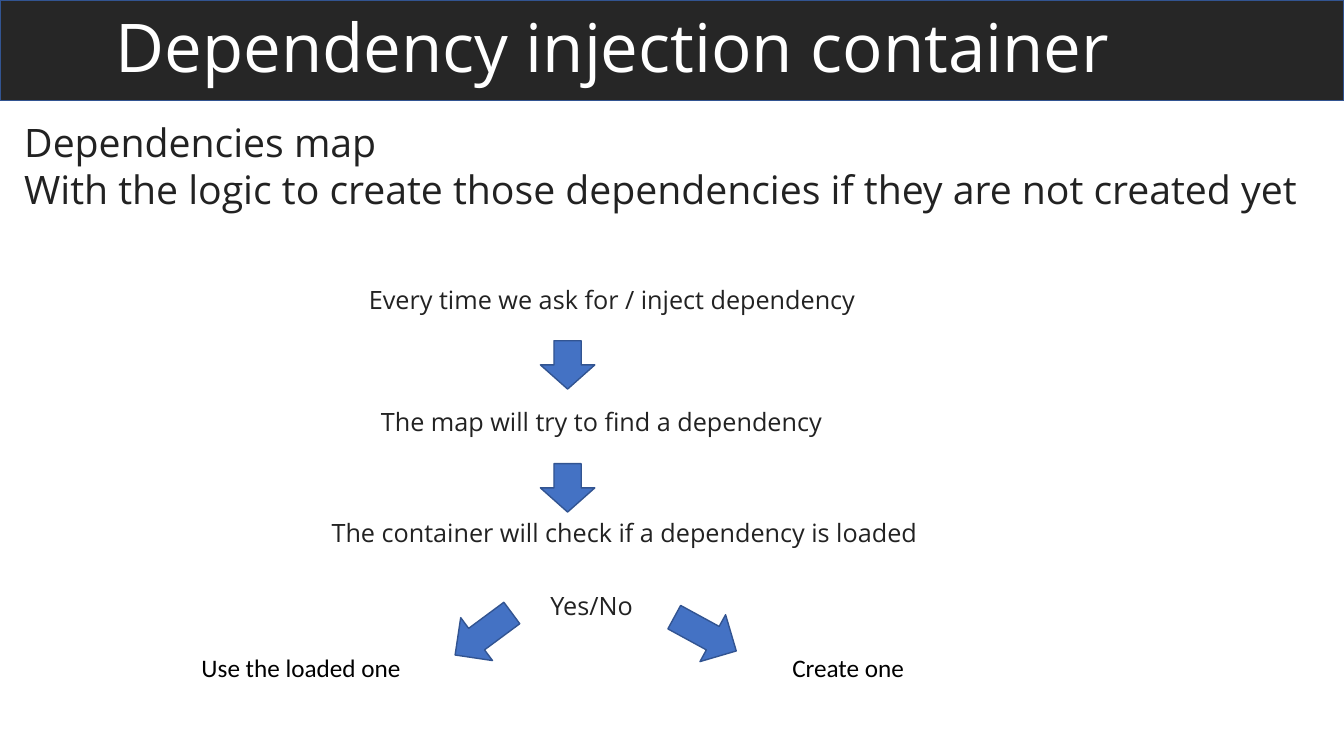
import pptx
import pptx.util
import pptx.dml.color
import pptx.enum.shapes
import pptx.enum.text
import pptx.oxml.ns
import lxml.etree

Inches, Pt = pptx.util.Inches, pptx.util.Pt
RGBColor = pptx.dml.color.RGBColor
MSO_SHAPE = pptx.enum.shapes.MSO_SHAPE
MSO_ANCHOR = pptx.enum.text.MSO_ANCHOR
PP_ALIGN = pptx.enum.text.PP_ALIGN

BAND = RGBColor(0x26, 0x26, 0x26)
WHITE = RGBColor(0xFF, 0xFF, 0xFF)
INK = RGBColor(0x22, 0x22, 0x22)
BLACK = RGBColor(0, 0, 0)
BLUE = RGBColor(0x44, 0x72, 0xC4)
OUTLINE = RGBColor(0x32, 0x54, 0x91)

TITLE = "Dependency injection container"
INTRO = [
    "Dependencies map",
    "With the logic to create those dependencies if they are not created yet",
]
STEPS = [
    ("Every time we ask for / inject dependency", 3.56, 2.77, 5.62),
    ("The map will try to find a dependency", 3.68, 3.98, 5.33),
    ("The container will check if a dependency is loaded", 3.19, 5.08, 6.31),
    ("Yes/No", 5.36, 5.81, 1.09),
]
OUTCOMES = [
    ("Use the loaded one", 1.9, 6.42, 2.58),
    ("Create one", 7.76, 6.42, 1.73),
]
ARROWS = [
    (5.36, 3.38, 0.54, 0.48, 0),
    (5.36, 4.6, 0.54, 0.48, 0),
    (4.53, 5.94, 0.53, 0.7, 53.5),
    (6.73, 5.94, 0.53, 0.7, 298.6),
]


def place(sp, left, top, width, height):
    sp.left, sp.top = Inches(left), Inches(top)
    sp.width, sp.height = Inches(width), Inches(height)


def write(tf, lines, size=18, font="Open Sans", color=INK, spacing=1.0,
          anchor=MSO_ANCHOR.TOP):
    tf.word_wrap = True
    tf.auto_size = pptx.enum.text.MSO_AUTO_SIZE.NONE
    tf.vertical_anchor = anchor
    for i, line in enumerate(lines):
        p = tf.add_paragraph() if i else tf.paragraphs[0]
        p.alignment = PP_ALIGN.LEFT
        p.line_spacing = spacing
        p.space_before = Pt(0)
        r = p.add_run()
        r.text = line
        r.font.size = Pt(size)
        r.font.name = font
        r.font.color.rgb = color


def add_block(s, kind, left, top, width, height, fill):
    sp = s.shapes.add_shape(kind, Inches(left), Inches(top),
                            Inches(width), Inches(height))
    sp.shadow.inherit = False
    sp.fill.solid()
    sp.fill.fore_color.rgb = fill
    sp.line.color.rgb = OUTLINE
    sp.line.width = Pt(1)
    return sp


prs = pptx.Presentation()
prs.slide_width, prs.slide_height = Inches(13.33), Inches(7.5)
s = prs.slides.add_slide(prs.slide_layouts[1])
title, body = s.shapes.title, s.placeholders[1]

band = add_block(s, MSO_SHAPE.RECTANGLE, 0, 0, 13.33, 1, BAND)
title.element.addprevious(band.element)

place(title, 1.05, 0.12, 11.45, 0.76)
write(title.text_frame, [TITLE], size=48, color=WHITE, spacing=0.9,
      anchor=MSO_ANCHOR.MIDDLE)

place(body, 0.14, 1.12, 12.9, 1.04)
write(body.text_frame, INTRO, size=28)
for p in body.text_frame.paragraphs:
    pPr = p._p.get_or_add_pPr()
    pPr.set("marL", "0")
    pPr.set("indent", "0")
    lxml.etree.SubElement(pPr, pptx.oxml.ns.qn("a:buNone"))

for labels, font, color in ((STEPS, "Open Sans", INK),
                            (OUTCOMES, "Calibri", BLACK)):
    for text, left, top, width in labels:
        sp = s.shapes.add_textbox(Inches(left), Inches(top),
                                  Inches(width), Inches(0.4))
        write(sp.text_frame, [text], font=font, color=color)

for left, top, width, height, angle in ARROWS:
    sp = add_block(s, MSO_SHAPE.DOWN_ARROW, left, top, width, height, BLUE)
    sp.rotation = angle

prs.save("out.pptx")
